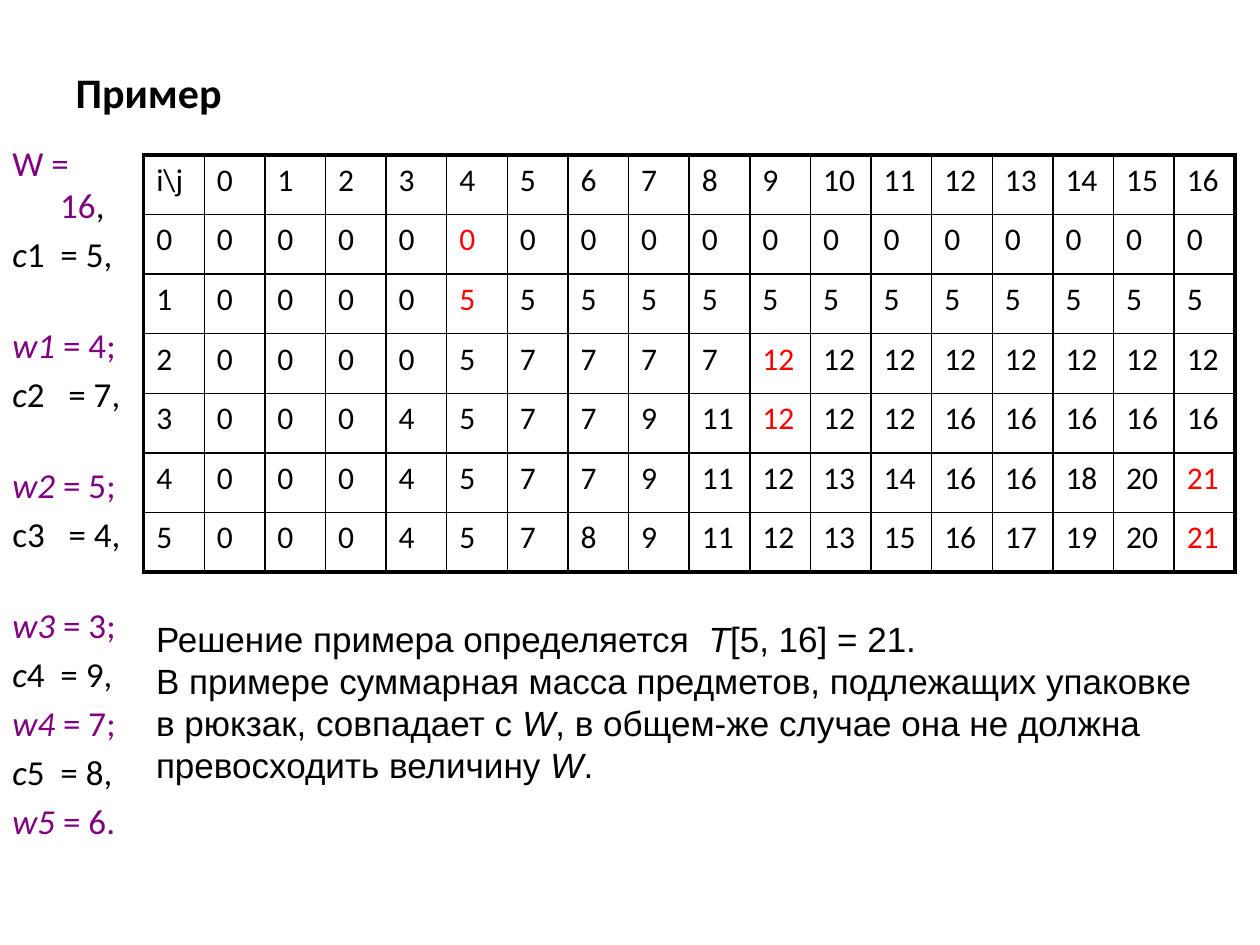
import pptx
import pptx.dml.color
import pptx.enum.text
import pptx.oxml.ns
import pptx.util
from lxml import etree

Inches, Pt = pptx.util.Inches, pptx.util.Pt
RGBColor = pptx.dml.color.RGBColor

BLACK = RGBColor(0x00, 0x00, 0x00)
PURPLE = RGBColor(0x80, 0x00, 0x80)
RED = RGBColor(0xFF, 0x00, 0x00)

# Knapsack example: item costs, item weights, capacity
COSTS = [5, 7, 4, 9, 8]
WEIGHTS = [4, 5, 3, 7, 6]
CAPACITY = 16
TRACE = {(0, 4), (1, 4), (2, 9), (3, 9), (4, 16), (5, 16)}

# Each item: (text, colour, italic) runs; True marks a line set apart by a gap
ITEMS = [
    ([("W = 16", PURPLE, False), (",", BLACK, False)], False),
    ([("c", BLACK, True), ("1  = 5,", BLACK, False)], False),
    ([("w1 ", PURPLE, True), ("= 4;", PURPLE, False)], True),
    ([("c", BLACK, True), ("2   = 7,", BLACK, False)], False),
    ([("w2 ", PURPLE, True), ("= 5;", PURPLE, False)], True),
    ([("c3   = 4,", BLACK, False)], False),
    ([("w3 ", PURPLE, True), ("= 3;", PURPLE, False)], True),
    ([("c", BLACK, True), ("4  = 9,", BLACK, False)], False),
    ([("w4 ", PURPLE, True), ("= 7;", PURPLE, False)], False),
    ([("c", BLACK, True), ("5  = 8,", BLACK, False)], False),
    ([("w5 ", PURPLE, True), ("= 6.", PURPLE, False)], False),
]

CONCLUSION = [
    [("Решение примера определяется  ", False), ("T", True),
     ("[5, 16] = 21.", False)],
    [("В примере суммарная масса предметов, подлежащих упаковке", False)],
    [("в рюкзак, совпадает с ", False), ("W", True),
     (", в общем-же случае она не должна превосходить величину ", False),
     ("W", True), (".", False)],
]


def add_run(p, text, size, font="Calibri", color=BLACK, italic=False, bold=False):
    r = p.add_run()
    r.text = text
    r.font.name = font
    r.font.size = Pt(size)
    r.font.color.rgb = color
    r.font.italic = italic
    r.font.bold = bold


def add_text_frame(s, left, top, width, height):
    tf = s.shapes.add_textbox(*map(Inches, (left, top, width, height))).text_frame
    tf.word_wrap = True
    return tf


def next_paragraph(tf, index):
    return tf.add_paragraph() if index else tf.paragraphs[0]


def set_title(s, text):
    sp = s.shapes.title
    sp.left, sp.top, sp.width, sp.height = map(Inches, (0.5, 0.3, 9, 0.85))
    tf = sp.text_frame
    tf.vertical_anchor = pptx.enum.text.MSO_ANCHOR.MIDDLE
    p = tf.paragraphs[0]
    p.alignment = pptx.enum.text.PP_ALIGN.LEFT
    add_run(p, text, 24, bold=True)


def add_items(s):
    tf = add_text_frame(s, 0, 1.07, 1.06, 4.57)
    for i, (runs, apart) in enumerate(ITEMS):
        p = next_paragraph(tf, i)
        p.space_before = Pt(28 if apart else 4)
        pPr = p._p.get_or_add_pPr()
        pPr.set("marL", str(Inches(0.38)))
        pPr.set("indent", str(-Inches(0.38)))
        for text, color, italic in runs:
            add_run(p, text, 20, color=color, italic=italic)


def add_conclusion(s):
    tf = add_text_frame(s, 1.14, 4.85, 8.54, 1.43)
    for i, runs in enumerate(CONCLUSION):
        p = next_paragraph(tf, i)
        for text, italic in runs:
            add_run(p, text, 20, font="Arial", italic=italic)


def knapsack_rows():
    """Best cost for the first i items at each capacity j."""
    rows = [[0] * (CAPACITY + 1)]
    for cost, weight in zip(COSTS, WEIGHTS):
        prev = rows[-1]
        rows.append([max(best, prev[j - weight] + cost) if j >= weight else best
                     for j, best in enumerate(prev)])
    return rows


def set_borders(cell, widths):
    tcPr = cell._tc.get_or_add_tcPr()
    qn = pptx.oxml.ns.qn
    for side, width in widths.items():
        ln = etree.SubElement(tcPr, qn("a:ln" + side), w=str(Pt(width)))
        fill = etree.SubElement(ln, qn("a:solidFill"))
        etree.SubElement(fill, qn("a:srgbClr"), val=str(BLACK))


def add_knapsack_table(s):
    grid = [["i\\j", *range(CAPACITY + 1)]]
    grid += [[i, *row] for i, row in enumerate(knapsack_rows())]
    n_rows, n_cols = len(grid), len(grid[0])
    frame = s.shapes.add_table(n_rows, n_cols,
                               *map(Inches, (1.14, 1.23, 8.66, 3.31)))
    table = frame.table
    table.first_row = table.horz_banding = False
    for i, row in enumerate(grid):
        for j, value in enumerate(row):
            cell = table.cell(i, j)
            # Thick outer frame, thin inner lines
            edges = {"L": j == 0, "R": j == n_cols - 1,
                     "T": i == 0, "B": i == n_rows - 1}
            set_borders(cell, {side: 2.25 if outer else 1
                               for side, outer in edges.items()})
            cell.fill.background()
            p = cell.text_frame.paragraphs[0]
            p.space_before = Pt(3.6)
            add_run(p, str(value), 18,
                    color=RED if (i - 1, j - 1) in TRACE else BLACK)


def main():
    prs = pptx.Presentation()
    prs.slide_width, prs.slide_height = Inches(10), Inches(7.5)
    s = prs.slides.add_slide(prs.slide_layouts[5])
    set_title(s, "Пример")
    add_items(s)
    add_knapsack_table(s)
    add_conclusion(s)
    prs.save("out.pptx")


if __name__ == "__main__":
    main()
